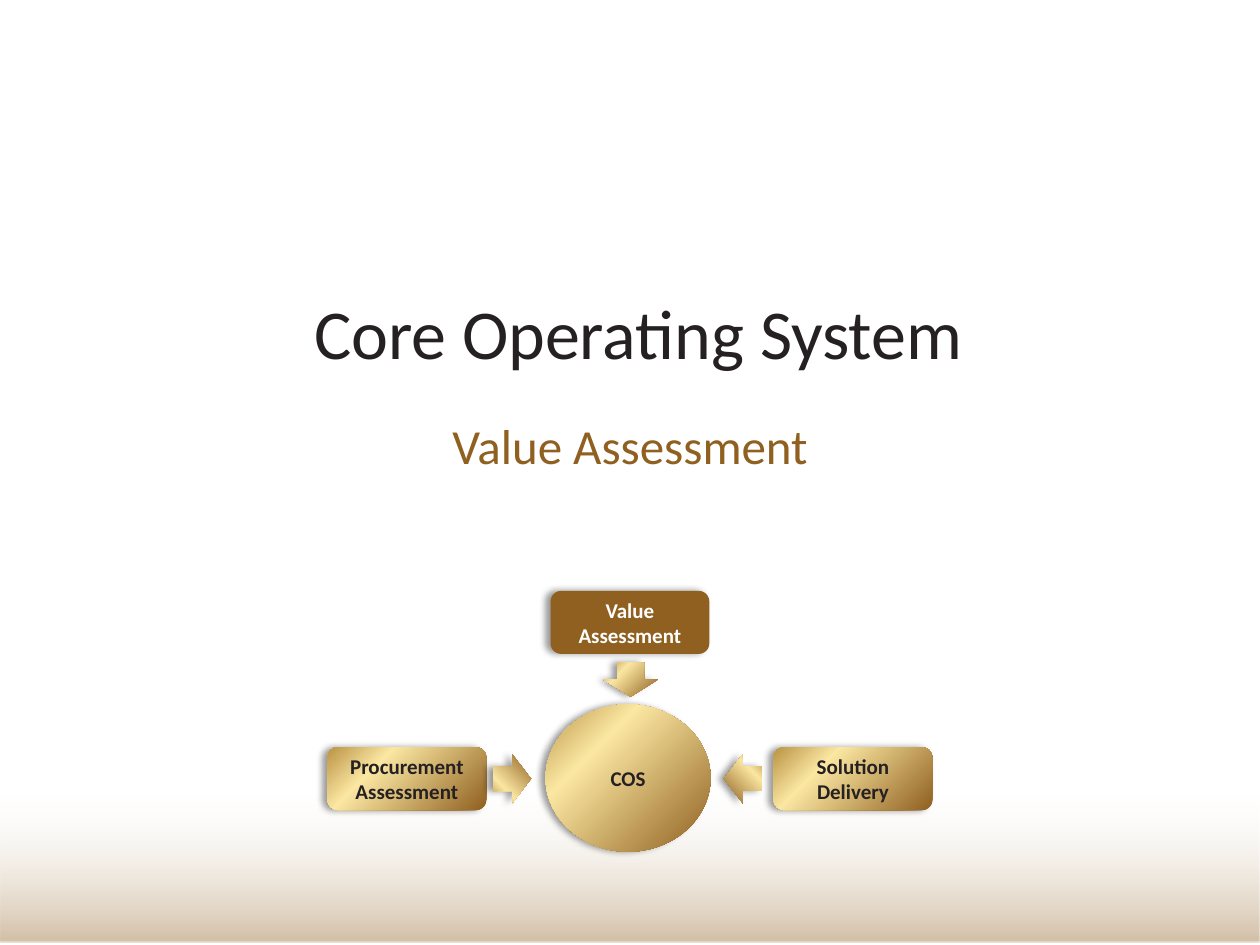
from dataclasses import dataclass

from lxml import etree
from pptx import Presentation
from pptx.dml.color import RGBColor
from pptx.enum.shapes import MSO_SHAPE
from pptx.enum.text import MSO_ANCHOR, PP_ALIGN
from pptx.oxml.ns import qn
from pptx.util import Inches, Pt

RECT, ROUND = MSO_SHAPE.RECTANGLE, MSO_SHAPE.ROUNDED_RECTANGLE
OVAL, ARROW = MSO_SHAPE.OVAL, MSO_SHAPE.DOWN_ARROW
TOP, MIDDLE = MSO_ANCHOR.TOP, MSO_ANCHOR.MIDDLE
CENTER = PP_ALIGN.CENTER

WHITE = RGBColor(0xFF, 0xFF, 0xFF)
BLACK = RGBColor(0x00, 0x00, 0x00)
INK = RGBColor(0x25, 0x20, 0x21)
BROWN = RGBColor(0x8F, 0x60, 0x20)
CREAM = RGBColor(0xFB, 0xE7, 0xA2)
GOLD = RGBColor(0xBA, 0x93, 0x45)


@dataclass(frozen=True)
class Stop:
    pos: int
    color: RGBColor
    alpha: int = 100


@dataclass(frozen=True)
class Node:
    kind: MSO_SHAPE
    left: float
    top: float
    width: float
    height: float
    text: str = ""
    turn: int = 0
    solid: bool = False


@dataclass(frozen=True)
class Label:
    text: str
    top: float
    height: float
    size: int
    color: RGBColor
    anchor: MSO_ANCHOR
    indent: float = 0


WASH = (Stop(0, WHITE), Stop(15, WHITE), Stop(83, WHITE, 0), Stop(100, BROWN, 40))
METAL = (Stop(0, BROWN), Stop(70, CREAM), Stop(100, GOLD))

BOX = (1.26, 0.5)
SIDE = (0.39, 0.3)
NODES = (
    Node(OVAL, 4.33, 5.59, 1.31, 1.17, "COS"),
    Node(ROUND, 4.37, 4.69, *BOX, "Value\nAssessment", solid=True),
    Node(ROUND, 2.6, 5.93, *BOX, "Procurement\nAssessment"),
    Node(ROUND, 6.14, 5.93, *BOX, "Solution\nDelivery"),
    Node(ARROW, 4.79, 5.26, 0.43, 0.27),
    Node(ARROW, 3.87, 6.03, *SIDE, turn=270),
    Node(ARROW, 5.7, 6.03, *SIDE, turn=90),
)
LABELS = (
    Label("Core Operating System", 1.83, 1.61, 40, INK, MIDDLE, 0.13),
    Label("Value Assessment", 3.25, 1.42, 28, BROWN, TOP),
)


def add_color(parent, color: RGBColor, alpha: int) -> None:
    tint = etree.SubElement(parent, qn("a:srgbClr"), val=str(color))
    if alpha < 100:
        etree.SubElement(tint, qn("a:alpha"), val=str(alpha * 1000))


def set_grad(shape, stops: tuple[Stop, ...], angle: int) -> None:
    shape.fill.gradient()
    shape.fill.gradient_angle = 360 - angle
    ramp = shape._element.spPr.find(qn("a:gradFill")).find(qn("a:gsLst"))
    for old in list(ramp):
        ramp.remove(old)
    for stop in stops:
        item = etree.SubElement(ramp, qn("a:gs"), pos=str(stop.pos * 1000))
        add_color(item, stop.color, stop.alpha)


def add_shade(shape) -> None:
    effects = shape._element.spPr.find(qn("a:effectLst"))
    shade = etree.SubElement(
        effects, qn("a:outerShdw"), blurRad=str(Pt(4)), dist=str(Pt(3)),
        dir=str(180 * 60000), algn="r", rotWithShape="0")
    add_color(shade, BLACK, 40)


def add_plain(slide, kind: MSO_SHAPE, *area: float):
    shape = slide.shapes.add_shape(kind, *map(Inches, area))
    shape.line.fill.background()
    shape.shadow.inherit = False
    return shape


def set_text(frame, text: str, size: int, color: RGBColor, bold: bool) -> None:
    frame.word_wrap = True
    frame.text = text
    for para in frame.paragraphs:
        para.alignment = CENTER
        for run in para.runs:
            font = run.font
            font.name, font.size, font.bold = "Calibri", Pt(size), bold
            font.color.rgb = color


def add_node(slide, node: Node) -> None:
    shape = add_plain(slide, node.kind, node.left, node.top, node.width, node.height)
    shape.rotation = node.turn
    if node.solid:
        shape.fill.solid()
        shape.fill.fore_color.rgb = BROWN
    else:
        set_grad(shape, METAL, 225)
    add_shade(shape)
    if node.text:
        shape.text_frame.vertical_anchor = MIDDLE
        set_text(shape.text_frame, node.text, 12, WHITE if node.solid else INK, True)


def add_label(slide, label: Label) -> None:
    box = slide.shapes.add_textbox(0, Inches(label.top), Inches(10), Inches(label.height))
    frame = box.text_frame
    frame.vertical_anchor = label.anchor
    frame.margin_left = Inches(0.1 + label.indent)
    set_text(frame, label.text, label.size, label.color, False)


def main() -> None:
    """Build the title slide with its operating system diagram."""
    deck = Presentation()
    deck.slide_width, deck.slide_height = Inches(10), Inches(7.5)
    slide = deck.slides.add_slide(deck.slide_layouts[6])
    set_grad(add_plain(slide, RECT, 0, 0, 10, 7.48), WASH, 90)
    for label in LABELS:
        add_label(slide, label)
    for node in NODES:
        add_node(slide, node)
    deck.save("out.pptx")


if __name__ == "__main__":
    main()
